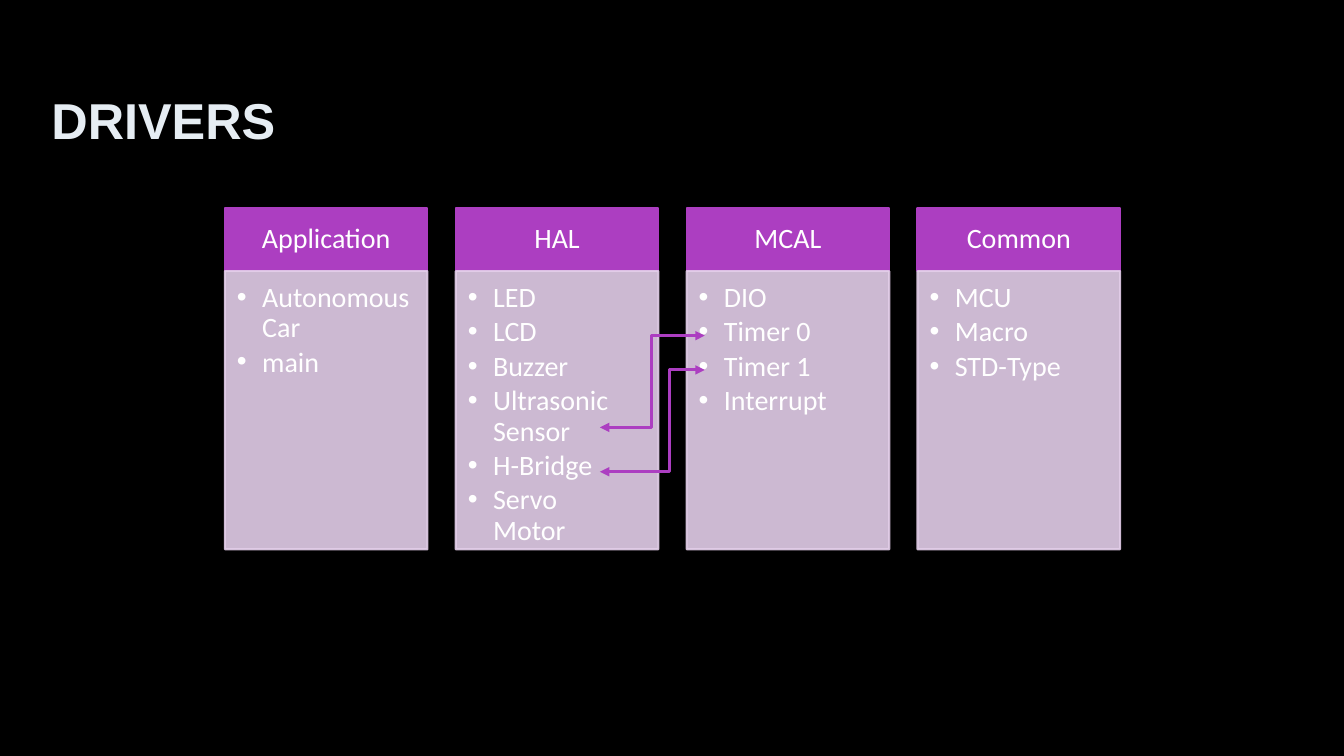
from lxml import etree
from pptx import Presentation
from pptx.dml.color import RGBColor
from pptx.enum.shapes import MSO_CONNECTOR, MSO_SHAPE
from pptx.enum.text import MSO_ANCHOR, MSO_AUTO_SIZE, PP_ALIGN
from pptx.oxml.ns import qn
from pptx.util import Inches, Pt

RECT, ELBOW = MSO_SHAPE.RECTANGLE, MSO_CONNECTOR.ELBOW
TOP, MIDDLE = MSO_ANCHOR.TOP, MSO_ANCHOR.MIDDLE
LEFT, CENTER = PP_ALIGN.LEFT, PP_ALIGN.CENTER
NO_FIT = MSO_AUTO_SIZE.NONE
COLORS = {"bg": "000000", "title": "E6EDF3", "accent": "AC3EC1",
          "panel": "E3CEE9", "text": "FFFFFF"}
COLUMNS = [
    ("Application", ["Autonomous Car", "main"]),
    ("HAL", ["LED", "LCD", "Buzzer", "Ultrasonic Sensor", "H-Bridge", "Servo  Motor"]),
    ("MCAL", ["DIO", "Timer 0", "Timer 1", "Interrupt"]),
    ("Common", ["MCU", "Macro", "STD-Type"]),
]
LINKS = [(4.24, 3.33, 49000), (4.68, 3.67, 66500)]


def add_box(x, y, h, color, anchor, margins):
    sp = s.shapes.add_shape(RECT, Inches(x), Inches(y), Inches(2.01), Inches(h))
    sp.shadow.inherit = False
    sp.fill.solid()
    sp.fill.fore_color.rgb = RGBColor.from_string(COLORS[color])
    sp.line.color.rgb = RGBColor.from_string(COLORS[color])
    sp.line.width = Pt(1.5)
    tf = sp.text_frame
    tf.word_wrap = True
    tf.vertical_anchor = anchor
    tf.margin_left, tf.margin_top, tf.margin_right, tf.margin_bottom = map(Inches, margins)
    return sp


def add_text(p, text, size, font, color, align):
    p.alignment = align
    r = p.add_run()
    r.text = text
    r.font.size = Pt(size)
    r.font.name = font
    r.font.color.rgb = RGBColor.from_string(COLORS[color])
    return r


prs = Presentation()
prs.slide_width, prs.slide_height = Inches(13.33), Inches(7.5)
s = prs.slides.add_slide(prs.slide_layouts[5])
s.background.fill.solid()
s.background.fill.fore_color.rgb = RGBColor.from_string(COLORS["bg"])

title = s.shapes.title
title.left, title.top, title.width, title.height = map(Inches, (0.41, 0.63, 11.08, 1.59))
tf = title.text_frame
tf.auto_size = NO_FIT
tf.vertical_anchor = TOP
tf.margin_top = Inches(0.25)
add_text(tf.paragraphs[0], "DRIVERS", 36, "Arial", "title", LEFT).font.bold = True

for i, (name, items) in enumerate(COLUMNS):
    x = 2.23 + i * 2.29
    header = add_box(x, 2.06, 0.63, "accent", MIDDLE, (0.16, 0.09, 0.16, 0.09))
    p = header.text_frame.paragraphs[0]
    p.line_spacing = 0.9
    add_text(p, name, 20, "Calibri", "text", CENTER)

    panel = add_box(x, 2.69, 2.76, "panel", TOP, (0.12, 0.12, 0.16, 0.17))
    for clr in panel._element.spPr.iter(qn("a:srgbClr")):
        etree.SubElement(clr, qn("a:alpha"), val="90000")
    tf = panel.text_frame
    for j, item in enumerate(items):
        p = tf.add_paragraph() if j else tf.paragraphs[0]
        p.level = 1
        p.line_spacing = 0.9
        p.space_after = Pt(3)
        add_text(p, item, 20, "Calibri", "text", LEFT)
        pPr = p._p.get_or_add_pPr()
        pPr.set("marL", str(Inches(0.25)))
        pPr.set("indent", str(-Inches(0.25)))
        etree.SubElement(pPr, qn("a:buFont"), typeface="Arial")
        etree.SubElement(pPr, qn("a:buChar"), char="•")

for driver_y, timer_y, bend in LINKS:
    link = s.shapes.add_connector(ELBOW, Inches(5.95), Inches(driver_y),
                                  Inches(6.99), Inches(timer_y))
    link.line.color.rgb = RGBColor.from_string(COLORS["accent"])
    link.line.width = Pt(2.25)
    spPr = link._element.spPr
    avLst = spPr.find(qn("a:prstGeom")).find(qn("a:avLst"))
    etree.SubElement(avLst, qn("a:gd"), name="adj1", fmla=f"val {bend}")
    ln = spPr.find(qn("a:ln"))
    for end in ("a:headEnd", "a:tailEnd"):
        etree.SubElement(ln, qn(end), type="triangle")
    etree.SubElement(spPr, qn("a:effectLst"))

prs.save("out.pptx")
